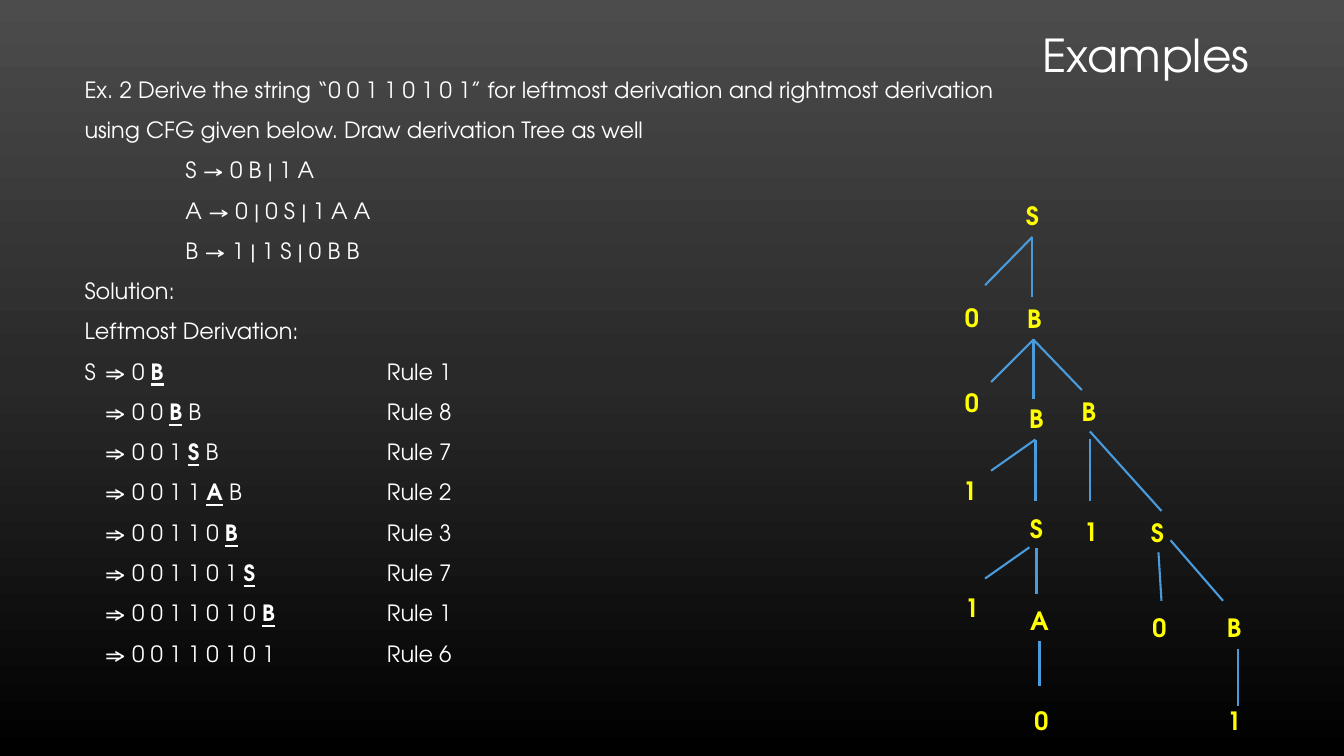
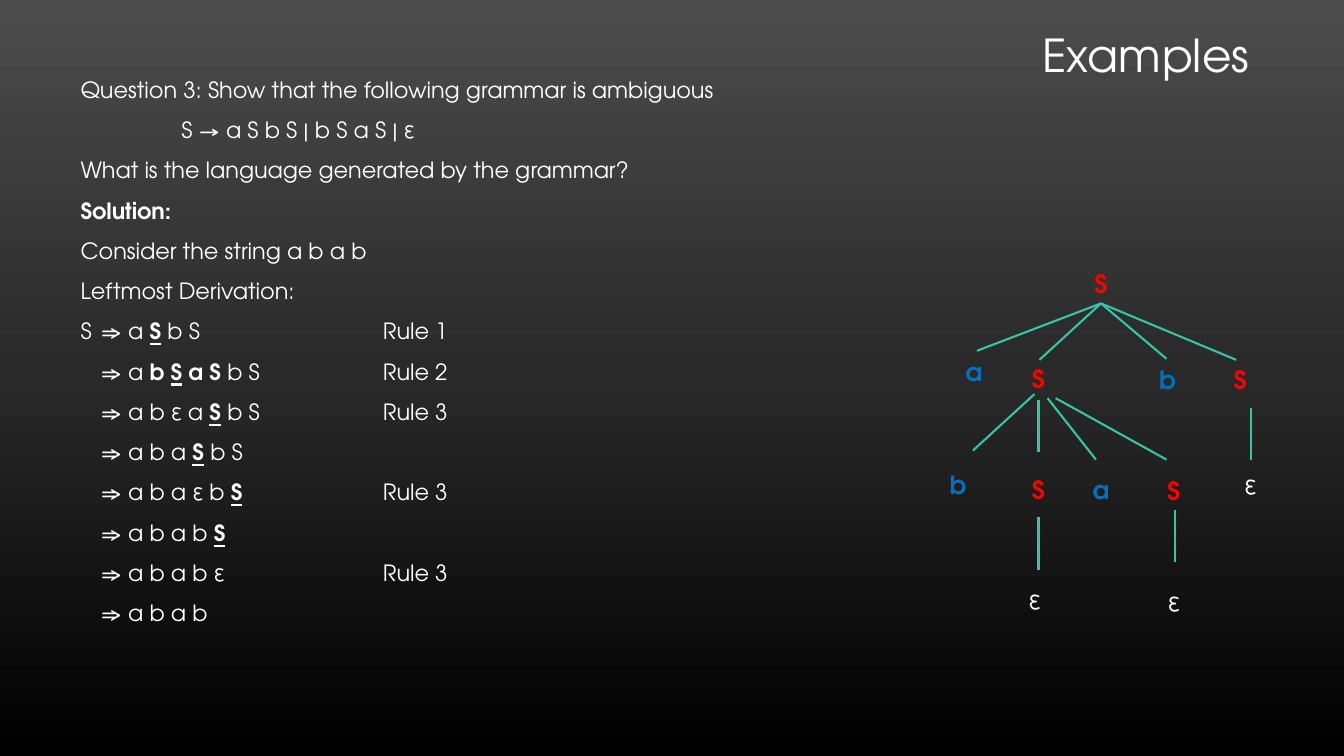
from copy import deepcopy

from lxml import etree
from pptx import Presentation
from pptx.dml.color import RGBColor
from pptx.enum.shapes import MSO_CONNECTOR
from pptx.enum.text import MSO_ANCHOR, MSO_AUTO_SIZE, PP_ALIGN
from pptx.oxml.ns import qn
from pptx.util import Inches, Pt

STRAIGHT = MSO_CONNECTOR.STRAIGHT
MIDDLE = MSO_ANCHOR.MIDDLE
NO_AUTOFIT = MSO_AUTO_SIZE.NONE
RIGHT, CENTER = PP_ALIGN.RIGHT, PP_ALIGN.CENTER

FONT = "TeX Gyre Adventor"
WHITE = RGBColor(0xFF, 0xFF, 0xFF)
YELLOW = RGBColor(0xFF, 0xFF, 0x00)
RED = RGBColor(0xFF, 0x00, 0x00)
BLUE = RGBColor(0x00, 0x70, 0xC0)
SKY = RGBColor(0x4A, 0x9B, 0xDC)
TEAL = RGBColor(0x32, 0xC7, 0xA9)
BACKGROUND_STOPS = (
    (0, RGBColor(0x4C, 0x4C, 0x4C)),
    (0.5, RGBColor(0x29, 0x29, 0x29)),
    (1, RGBColor(0x00, 0x00, 0x00)),
)

TITLE_BOX = (10.13, 0.31, 2.36, 0.53)
NODE_SIZE = 0.4
RULE_INDENT = 1
STEP_TABS = (0.2, 3)

# Layout of a line: prose, grammar rule or derivation step.
PROSE, GRAMMAR, STEP = "prose", "grammar", "step"

# In the lines, * switches bold and _ switches underline.
STRING_LINES = (
    (PROSE, "Ex. 2 Derive the string “0 0 1 1 0 1 0 1” for leftmost derivation and "
            "rightmost derivation using CFG given below. Draw derivation Tree as well"),
    (GRAMMAR, "S → 0 B | 1 A"),
    (GRAMMAR, "A → 0 | 0 S | 1 A A"),
    (GRAMMAR, "B → 1 | 1 S | 0 B B"),
    (PROSE, "Solution:"),
    (PROSE, "Leftmost Derivation:"),
    (STEP, "S\t⇒ 0 *_B_*\tRule 1"),
    (STEP, "\t⇒ 0 0 *_B_* B\tRule 8"),
    (STEP, "\t⇒ 0 0 1 *_S_* B\tRule 7"),
    (STEP, "\t⇒ 0 0 1 1 *_A_* B\tRule 2"),
    (STEP, "\t⇒ 0 0 1 1 0 *_B_*\tRule 3"),
    (STEP, "\t⇒ 0 0 1 1 0 1 *_S_*\tRule 7"),
    (STEP, "\t⇒ 0 0 1 1 0 1 0 *_B_*\tRule 1"),
    (STEP, "\t⇒ 0 0 1 1 0 1 0 1\tRule 6"),
)
AMBIGUITY_LINES = (
    (PROSE, "Question 3: Show that the following grammar is ambiguous"),
    (GRAMMAR, "S → a S b S | b S a S | ε"),
    (PROSE, "What is the language generated by the grammar?"),
    (PROSE, "*Solution:*"),
    (PROSE, "Consider the string a b a b"),
    (PROSE, "Leftmost Derivation:"),
    (STEP, "S\t⇒ a *_S_* b S\tRule 1"),
    (STEP, "\t⇒ a *b _S_ a S *b S\tRule 2"),
    (STEP, "\t⇒ a b ε a *_S_* b S\tRule 3"),
    (STEP, "\t⇒ a b a *_S_* b S"),
    (STEP, "\t⇒ a b a ε b *_S_*\tRule 3"),
    (STEP, "\t⇒ a b a b *_S_*"),
    (STEP, "\t⇒ a b a b ε\tRule 3"),
    (STEP, "\t⇒ a b a b"),
)

# Each node: symbol, centre x, top, and the branch that leads to it
# (start x, start y, end x, end y), in inches from the tree's corner.
STRING_TREE = (
    ("S", 0.84, 0.04, None),
    ("0", 0.24, 1.05, (0.84, 0.45, 0.37, 0.93)),
    ("B", 0.86, 1.06, (0.84, 0.45, 0.84, 1.05)),
    ("0", 0.24, 1.89, (0.85, 1.47, 0.43, 1.89)),
    ("B", 0.88, 2.05, (0.85, 1.46, 0.85, 2.06)),
    ("B", 1.4, 1.98, (0.85, 1.47, 1.33, 1.97)),
    ("1", 0.22, 2.77, (0.87, 2.46, 0.43, 2.77)),
    ("S", 0.88, 3.14, (0.87, 2.47, 0.87, 3.07)),
    ("1", 0.24, 3.93, (0.81, 3.53, 0.37, 3.84)),
    ("A", 0.91, 4.06, (0.88, 3.54, 0.88, 3.99)),
    ("0", 0.93, 5.05, (0.91, 4.46, 0.91, 4.91)),
    ("1", 1.42, 3.17, (1.41, 2.46, 1.41, 3.07)),
    ("S", 2.08, 3.18, (1.41, 2.38, 2.12, 3.17)),
    ("0", 2.1, 4.13, (2.09, 3.58, 2.12, 4.06)),
    ("B", 2.84, 4.13, (2.21, 3.46, 2.73, 4.06)),
    ("1", 2.84, 5.05, (2.88, 4.54, 2.88, 5.1)),
)
AMBIGUITY_TREE = (
    ("S", 1.62, 0.01, None),
    ("a", 0.36, 0.89, (1.62, 0.41, 0.39, 0.88)),
    ("S", 1, 0.96, (1.62, 0.41, 1.01, 0.97)),
    ("b", 2.28, 0.97, (1.62, 0.41, 2.27, 0.96)),
    ("S", 3, 0.97, (1.62, 0.41, 2.96, 0.97)),
    ("b", 0.2, 2.01, (0.96, 1.31, 0.35, 1.87)),
    ("S", 1, 2.06, (1, 1.37, 1, 1.88)),
    ("a", 1.62, 2.06, (1.09, 1.35, 1.57, 1.96)),
    ("S", 2.34, 2.07, (1.17, 1.35, 2.27, 1.96)),
    ("ε", 0.96, 3.15, (1, 2.53, 1, 3.05)),
    ("ε", 2.34, 3.17, (2.35, 2.46, 2.35, 2.98)),
    ("ε", 3.1, 2.01, (3.11, 1.45, 3.11, 1.96)),
)
STRING_COLORS = dict.fromkeys("SAB01", YELLOW)
AMBIGUITY_COLORS = {"S": RED, "a": BLUE, "b": BLUE, "ε": WHITE}


def inches(*lengths):
    return [Inches(length) for length in lengths]


def format_run(run, size, color, bold=False, underline=False):
    font = run.font
    font.name = FONT
    font.size = Pt(size)
    font.color.rgb = color
    font.bold = bold
    font.underline = underline


def paint_background(master):
    fill = master.background.fill
    fill.gradient()
    fill.gradient_angle = 270
    stop_list = next(master.element.iter(qn("a:gsLst")))
    stop_list.insert(1, deepcopy(stop_list[0]))
    for stop, (position, color) in zip(fill.gradient_stops, BACKGROUND_STOPS):
        stop.position = position
        stop.color.rgb = color


def place_title(slide, text):
    title = slide.shapes.title
    title.left, title.top, title.width, title.height = inches(*TITLE_BOX)
    frame = title.text_frame
    frame.text = text
    frame.auto_size = NO_AUTOFIT
    frame.vertical_anchor = MIDDLE
    paragraph = frame.paragraphs[0]
    paragraph.alignment = RIGHT
    paragraph.line_spacing = 0.9
    format_run(paragraph.runs[0], 32.4, WHITE)


def add_marked_runs(paragraph, line):
    """Write a line whose * and _ marks switch bold and underline."""
    for bold_index, bold_part in enumerate(line.split("*")):
        for underline_index, text in enumerate(bold_part.split("_")):
            if text:
                run = paragraph.add_run()
                run.text = text
                format_run(run, 16, WHITE, bold_index % 2 == 1, underline_index % 2 == 1)


def set_line_layout(paragraph, layout):
    paragraph.line_spacing = 1.5
    properties = paragraph._p.get_or_add_pPr()
    if layout == GRAMMAR:
        properties.set("marL", str(Inches(RULE_INDENT)))
    elif layout == STEP:
        tab_list = etree.SubElement(properties, qn("a:tabLst"))
        for position in STEP_TABS:
            etree.SubElement(tab_list, qn("a:tab"), pos=str(Inches(position)), algn="l")


def add_derivation(slide, box, lines):
    frame = slide.shapes.add_textbox(*inches(*box)).text_frame
    frame.word_wrap = True
    for index, (layout, line) in enumerate(lines):
        paragraph = frame.add_paragraph() if index else frame.paragraphs[0]
        set_line_layout(paragraph, layout)
        add_marked_runs(paragraph, line)


def add_branch(slide, ends, color):
    connector = slide.shapes.add_connector(STRAIGHT, *inches(*ends))
    connector.line.color.rgb = color
    connector.line.width = Pt(1.5)
    etree.SubElement(connector._element.spPr, qn("a:effectLst"))


def add_node(slide, center, top, symbol, color):
    box = inches(center - NODE_SIZE / 2, top, NODE_SIZE, NODE_SIZE)
    frame = slide.shapes.add_textbox(*box).text_frame
    frame.margin_left = frame.margin_right = 0
    frame.word_wrap = True
    frame.text = symbol
    paragraph = frame.paragraphs[0]
    paragraph.alignment = CENTER
    format_run(paragraph.runs[0], 18, color, bold=symbol != "ε")


def add_tree(slide, left, top, nodes, colors, branch_color):
    for symbol, center, node_top, branch in nodes:
        if branch:
            start_x, start_y, end_x, end_y = branch
            ends = (left + start_x, top + start_y, left + end_x, top + end_y)
            add_branch(slide, ends, branch_color)
        add_node(slide, left + center, top + node_top, symbol, colors[symbol])


def add_example_slide(presentation, text_box, lines):
    slide = presentation.slides.add_slide(presentation.slide_layouts.get_by_name("Title Only"))
    place_title(slide, "Examples")
    add_derivation(slide, text_box, lines)
    return slide


def main():
    presentation = Presentation()
    presentation.slide_width, presentation.slide_height = inches(13.33, 7.5)
    paint_background(presentation.slide_master)

    slide = add_example_slide(presentation, (0.74, 0.57, 9.76, 6.43), STRING_LINES)
    add_tree(slide, 9.4, 1.9, STRING_TREE, STRING_COLORS, SKY)

    slide = add_example_slide(presentation, (0.7, 0.57, 7.62, 6.47), AMBIGUITY_LINES)
    add_tree(slide, 9.3, 2.6, AMBIGUITY_TREE, AMBIGUITY_COLORS, TEAL)

    presentation.save("out.pptx")


if __name__ == "__main__":
    main()
